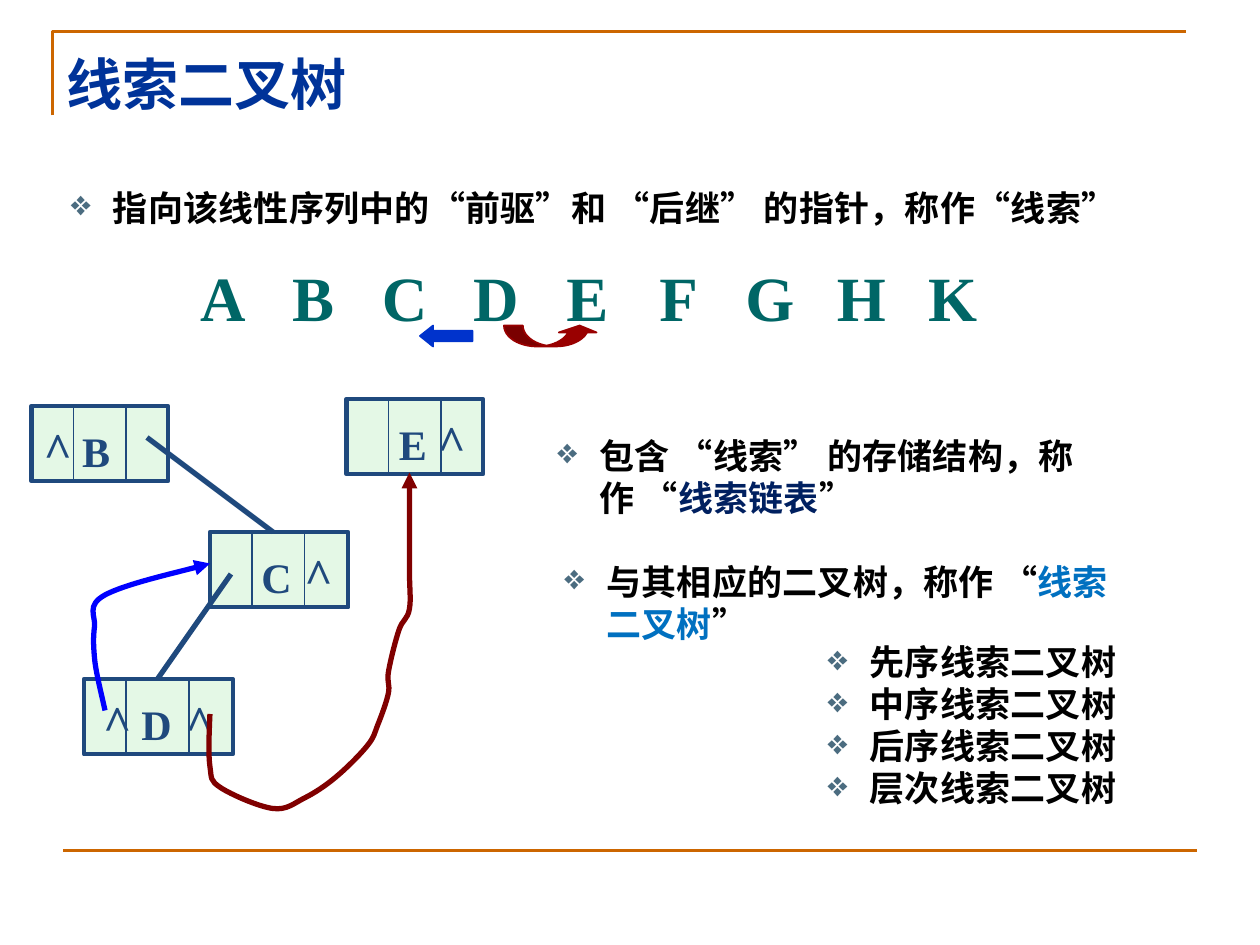
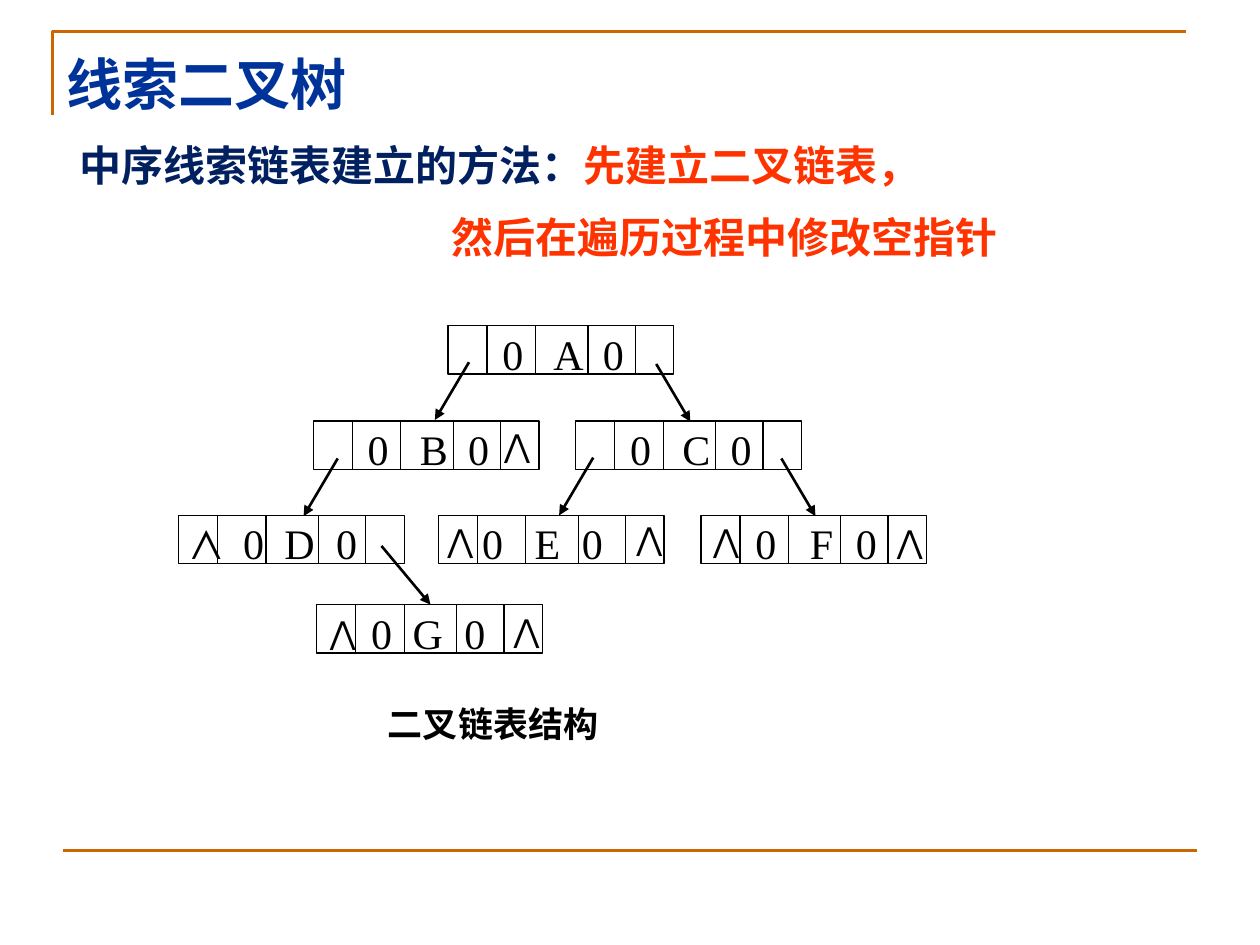
from lxml.etree import SubElement
from pptx import Presentation
from pptx.dml.color import RGBColor
from pptx.enum.shapes import MSO_CONNECTOR, MSO_SHAPE
from pptx.enum.text import MSO_ANCHOR, MSO_AUTO_SIZE, PP_ALIGN
from pptx.oxml.ns import qn
from pptx.util import Pt

HUES = {
    "rule": "CC6600", "title": "003399", "ink": "000000", "bullet": "4B6C80",
    "teal": "006666", "navy": "1F497D", "mint": "CAF2CE", "deep": "002060",
    "sky": "0070C0", "blue": "0000FF", "back": "0033CC", "next": "990000",
    "wine": "800000", "red": "FF3300",
}
SANS, SERIF, PLAIN = "Noto Sans CJK SC", "Times New Roman", "Calibri"


def hue(name):
    return RGBColor.from_string(HUES[name])


class Deck:
    def __init__(self):
        self.prs = Presentation()
        self.prs.slide_width, self.prs.slide_height = Pt(720), Pt(540)

    def start(self, title):
        """Add a slide with the shared title and rules."""
        self.slide = self.prs.slides.add_slide(self.prs.slide_layouts[5])
        self.shapes = self.slide.shapes
        self.trace([(30, 66), (30, 18), (678, 18)], "rule", 1.5)
        self.line((36, 486), (684, 486), "rule", 1.5)
        head = self.shapes.title
        head.left, head.top, head.width, head.height = Pt(38), Pt(26), Pt(298), Pt(40)
        para = self.frame(head, (0, 2, 0, 0)).paragraphs[0]
        para.alignment = PP_ALIGN.LEFT
        self.run(para, title, 32, "title", SANS, True)

    # Text
    def frame(self, shape, pads, anchor=MSO_ANCHOR.TOP):
        text = shape.text_frame
        text.word_wrap = True
        text.auto_size = MSO_AUTO_SIZE.NONE
        text.vertical_anchor = anchor
        (text.margin_left, text.margin_top,
         text.margin_right, text.margin_bottom) = map(Pt, pads)
        return text

    def box(self, x, y, w, h, pads=(7.2, 3.6, 7.2, 3.6), anchor=MSO_ANCHOR.TOP):
        shape = self.shapes.add_textbox(Pt(x), Pt(y), Pt(w), Pt(h))
        return self.frame(shape, pads, anchor)

    def run(self, para, text, size, color="ink", font=SERIF, bold=False):
        run = para.add_run()
        run.text = text
        run.font.size, run.font.bold, run.font.name = Pt(size), bold, font
        run.font.color.rgb = hue(color)
        SubElement(run.font._element, qn("a:ea"), typeface=SANS)
        return run

    def tabs(self, para, stops):
        tabs = SubElement(para._p.get_or_add_pPr(), qn("a:tabLst"))
        for stop in stops:
            SubElement(tabs, qn("a:tab"), pos=str(Pt(stop)), algn="ctr")

    def list(self, x, y, w, h, items):
        """Bulleted items, each a list of (text, colour) runs."""
        text = self.box(x, y, w, h, (0, 0, 0, 0))
        for i, item in enumerate(items):
            para = text.add_paragraph() if i else text.paragraphs[0]
            props = para._p.get_or_add_pPr()
            props.set("marL", str(Pt(24.5)))
            props.set("indent", str(Pt(-24)))
            tint = SubElement(props, qn("a:buClr"))
            SubElement(tint, qn("a:srgbClr"), val=HUES["bullet"])
            SubElement(props, qn("a:buChar"), char="❖")
            for words, color in item:
                run = self.run(para, words, 20, color, SANS, True)
                run.font._element.set("spc", "10")

    # Shapes and lines
    def shape(self, kind, x, y, w, h, fill, edge, width, adjust=()):
        shape = self.shapes.add_shape(kind, Pt(x), Pt(y), Pt(w), Pt(h))
        shape.shadow.inherit = False
        if fill:
            shape.fill.solid()
            shape.fill.fore_color.rgb = hue(fill)
        else:
            shape.fill.background()
        shape.line.color.rgb, shape.line.width = hue(edge), Pt(width)
        for i, value in enumerate(adjust):
            shape.adjustments[i] = value
        return shape

    def ink(self, shape, color, width, arrow):
        shape.line.color.rgb, shape.line.width = hue(color), Pt(width)
        if arrow:
            SubElement(shape.line._get_or_add_ln(), qn("a:tailEnd"), type="triangle")

    def line(self, start, end, color, width, arrow=False):
        link = self.shapes.add_connector(
            MSO_CONNECTOR.STRAIGHT, *map(Pt, (*start, *end)))
        self.ink(link, color, width, arrow)
        SubElement(link._element.spPr, qn("a:effectLst"))

    def trace(self, dots, color, width, curve=False):
        """Open outline; a curve takes three dots per Bezier piece."""
        dots = [(Pt(x), Pt(y)) for x, y in dots]
        form = self.shapes.build_freeform(*dots[0], scale=1.0)
        form.add_line_segments(dots[1:], close=False)
        shape = form.convert_to_shape()
        shape.shadow.inherit = False
        shape.fill.background()
        self.ink(shape, color, width, curve)
        if curve:
            steps = list(shape._element.iter(qn("a:lnTo")))
            track = steps[0].getparent()
            for i in range(0, len(steps), 3):
                bend = SubElement(track, qn("a:cubicBezTo"))
                for step in steps[i:i + 3]:
                    bend.append(step[0])
                    track.remove(step)

    # Tree nodes
    def cells(self, shape, marks, color, bold, pads, anchor):
        """Marks are (text, centre, size), each set on its own tab."""
        para = self.frame(shape, pads, anchor).paragraphs[0]
        para.alignment = PP_ALIGN.LEFT
        self.tabs(para, [mark[1] for mark in marks])
        for text, _, size in marks:
            self.run(para, "\t" + text, size, color, SERIF, bold)

    def node(self, x, y, w, cuts, marks):
        shape = self.shape(MSO_SHAPE.RECTANGLE, x, y, w, 43, "mint", "navy", 2.5)
        tint = next(shape._element.spPr.iter(qn("a:srgbClr")))
        SubElement(tint, qn("a:alpha"), val="50000")
        self.cells(shape, marks, "navy", True, (0, 7, 0, 0), MSO_ANCHOR.TOP)
        for cut in cuts:
            self.line((x + cut, y), (x + cut, y + 42), "navy", 1)

    def record(self, x, y, marks):
        shape = self.shape(MSO_SHAPE.RECTANGLE, x, y, 129, 27.7, None, "ink", 0.75)
        marks = [(text, spot, 24) for text, spot in marks]
        self.cells(shape, marks, "ink", False, (0, 4, 0, 0), MSO_ANCHOR.MIDDLE)
        for cut in (22.3, 50, 80, 107):
            self.line((x + cut, y), (x + cut, y + 27.7), "ink", 0.75)

    def caret(self, x, y):
        para = self.box(x, y, 30, 29).paragraphs[0]
        self.run(para, "⋀", 18, "ink", PLAIN)


deck = Deck()

# Slide 1: threads and the threaded list
deck.start("线索二叉树")
deck.list(40, 106.4, 610, 24, [
    [("指向该线性序列中的“前驱”和 “后继” 的指针，称作“线索”", "ink")]])

# Linear sequence with its two pointers
para = deck.box(107.3, 144, 470, 50).paragraphs[0]
deck.tabs(para, [12.4 + 52.2 * i for i in range(9)])
for letter in "ABCDEFGHK":
    deck.run(para, "\t" + letter, 36, "teal", SERIF, True)
deck.shape(MSO_SHAPE.CURVED_UP_ARROW, 288, 186, 54, 12, "next", "next", 1,
           (0.9, 1.8, 0.333))
deck.shape(MSO_SHAPE.LEFT_ARROW, 240, 186, 30, 12, "back", "back", 1, (0.5, 0.625))

# Linked nodes
deck.node(48, 388, 85, (24, 60), [("^", 19, 28), ("D", 41.5, 24), ("^", 66, 28)])
deck.node(120, 304, 79, (24, 54), [("C", 38, 24), ("^", 62, 28)])
deck.node(18, 232, 78, (24, 54), [("^", 15, 28), ("B", 37, 24)])
deck.node(198, 228, 78, (24, 54), [("E", 38, 24), ("^", 60, 28)])
deck.line((84, 250), (156, 304), "navy", 3)
deck.line((132, 328), (90, 388), "navy", 3)

# Threads from D to C and to E
deck.trace([
    (60, 406), (57.6, 395), (54.7, 384), (54, 376), (53.3, 368), (53.3, 364),
    (54, 358), (54.7, 352), (49, 346), (60, 340), (71, 334), (110, 325),
    (120, 322)], "blue", 3, True)
deck.trace([
    (120, 408), (119.5, 420), (119, 431), (120, 438), (121, 445), (120, 446),
    (126, 450), (132, 454), (148, 461), (156, 462), (164, 463), (168, 459),
    (174, 456), (180, 453), (186, 449), (192, 444), (198, 439), (206, 431),
    (210, 426), (214, 421), (214, 419), (216, 414), (218, 409), (221, 401),
    (222, 396), (223, 391), (221, 390), (222, 384), (223, 378), (226, 366),
    (228, 360), (230, 354), (233, 354), (234, 348), (235, 342), (234, 337),
    (234, 324), (234, 311), (234, 290), (234, 270)], "wine", 3, True)

# Terms
deck.list(318, 248, 312, 48, [
    [("包含 “线索” 的存储结构，称作 “", "ink"), ("线索链表", "deep"), ("”", "ink")]])
deck.list(322, 320, 312, 48, [
    [("与其相应的二叉树，称作 “", "ink"), ("线索二叉树", "sky"), ("”", "ink")]])
deck.list(472.5, 366.2, 200, 97, [
    [(order + "线索二叉树", "ink")] for order in ("先序", "中序", "后序", "层次")])

# Slide 2: building the in-order threaded list
deck.start("线索二叉树")
text = deck.box(38.2, 76.3, 585, 80)
para = text.paragraphs[0]
deck.run(para, "中序线索链表建立的方法：", 24, "deep", SERIF, True)
deck.run(para, "先建立二叉链表，", 24, "red", SERIF, True)
para = text.add_paragraph()
para.space_before = Pt(12)
para._p.get_or_add_pPr().set("marL", str(Pt(213)))
deck.run(para, "然后在遍历过程中修改空指针", 24, "red", SERIF, True)

# Records, row by row
wide = (37.1, 68.9, 94.5)
for x, y, name, spots in (
        (256, 186, "A", wide), (179, 240.5, "B", wide), (329, 240.5, "C", wide),
        (102, 294.5, "D", (42.9, 69.1, 96)), (250.5, 294.5, "E", (31, 62.3, 88)),
        (400.5, 294.5, "F", wide), (181, 345.5, "G", (37.1, 63.4, 90.3))):
    marks = list(zip(("0", name, "0"), spots))
    if name == "D":
        marks.insert(0, ("⋀", 15.9))
    deck.record(x, y, marks)

# Child links
for start, end in (
        ((268, 207), (248.5, 240)), ((375, 208), (394.5, 241)),
        ((339, 261.5), (319.5, 294.5)), ((446.5, 262), (466, 295)),
        ((193, 262), (173.5, 295)), ((218, 312), (246, 345.5))):
    deck.line(start, end, "ink", 1.5, True)

# Empty pointers
for x, y in ((281, 240), (356.5, 293), (286.5, 345.5), (181.5, 347),
             (248.5, 294), (400.5, 294), (505.5, 294.5)):
    deck.caret(x, y)

# Caption
para = deck.box(214.6, 399.6, 249, 28, anchor=MSO_ANCHOR.MIDDLE).paragraphs[0]
deck.run(para, "二叉链表结构", 20, "ink", SERIF, True)

deck.prs.save("out.pptx")
